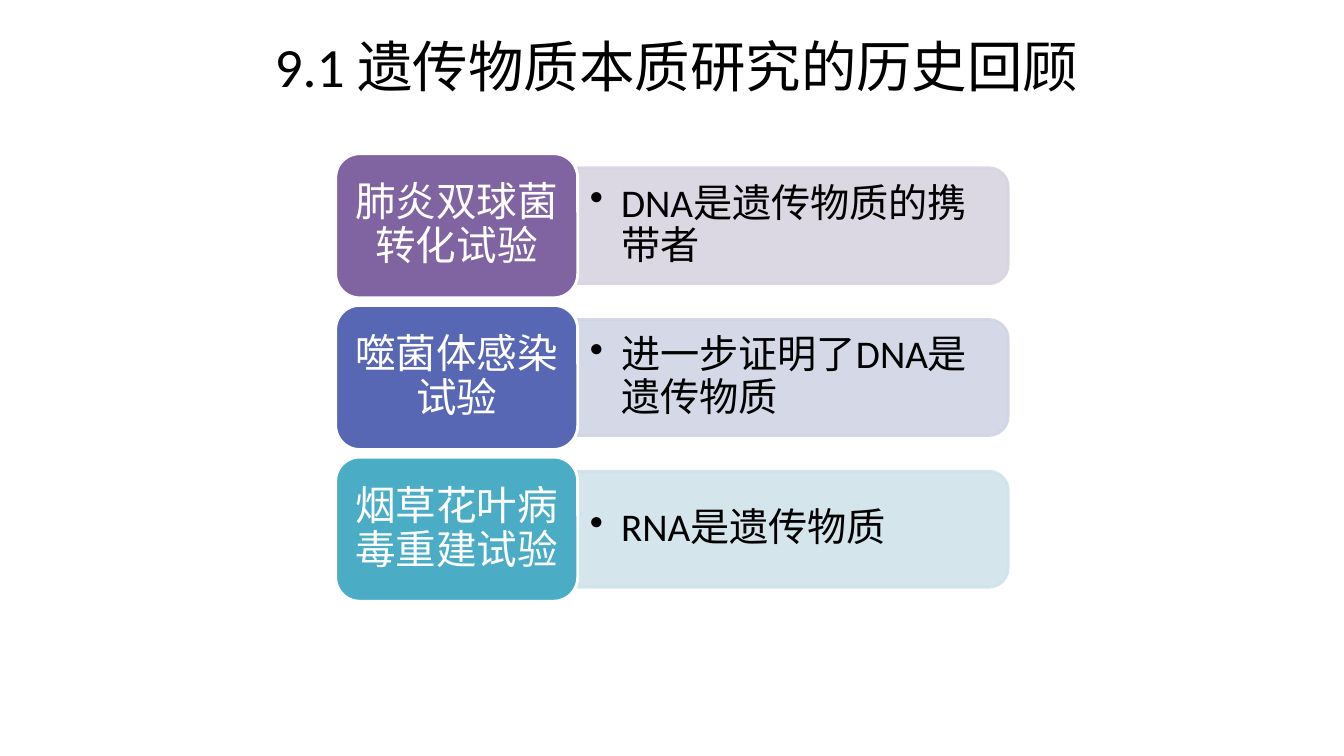
from dataclasses import dataclass

from lxml.etree import SubElement
from pptx import Presentation
from pptx.dml.color import RGBColor
from pptx.enum.shapes import MSO_SHAPE
from pptx.enum.text import MSO_ANCHOR, PP_ALIGN
from pptx.oxml.ns import qn
from pptx.util import Inches, Pt


@dataclass(frozen=True)
class Theme:
    font: str = "Calibri"
    ink: str = "000000"
    paper: str = "FFFFFF"
    title_size: float = 39.6
    label_size: float = 29
    finding_size: float = 28
    outline: float = 2
    line_spacing: float = 0.9
    panel_opacity: int = 90


class SlideBuilder:
    def __init__(self, slide, theme):
        self.slide = slide
        self.theme = theme

    def _frame(self, shape, inset_x, inset_y):
        frame = shape.text_frame
        frame.word_wrap = True
        frame.vertical_anchor = MSO_ANCHOR.MIDDLE
        frame.margin_left = frame.margin_right = Inches(inset_x)
        frame.margin_top = frame.margin_bottom = Inches(inset_y)
        return frame.paragraphs[0]

    def _write(self, paragraph, words, size, color):
        run = paragraph.add_run()
        run.text = words
        run.font.name = self.theme.font
        run.font.size = Pt(size)
        run.font.color.rgb = RGBColor.from_string(color)

    def _block(self, preset, left, top, width, height, fill, line):
        block = self.slide.shapes.add_shape(
            preset, Inches(left), Inches(top), Inches(width), Inches(height))
        block.shadow.inherit = False
        block.fill.solid()
        block.fill.fore_color.rgb = RGBColor.from_string(fill)
        block.line.color.rgb = RGBColor.from_string(line)
        block.line.width = Pt(self.theme.outline)
        return block

    def _text_box(self, left, top, width, height):
        return self.slide.shapes.add_textbox(
            Inches(left), Inches(top), Inches(width), Inches(height))

    def title(self, words, left, top, width, height):
        heading = self._frame(self._text_box(left, top, width, height), 0.1, 0.05)
        heading.alignment = PP_ALIGN.CENTER
        self._write(heading, words, self.theme.title_size, self.theme.ink)

    def panel(self, left, middle, width, height, color):
        """Bar with rounded right corners: an upright tab turned a quarter."""
        panel = self._block(MSO_SHAPE.ROUND_2_SAME_RECTANGLE,
                            left + (width - height) / 2, middle - width / 2,
                            height, width, color, color)
        panel.rotation = 90
        # Slight transparency for fill and outline
        for tint in panel._element.spPr.iter(qn("a:srgbClr")):
            SubElement(tint, qn("a:alpha"), val=str(self.theme.panel_opacity * 1000))

    def finding(self, words, left, middle, width, height):
        box = self._text_box(left, middle - height / 2, width, height)
        finding = self._frame(box, 0.12, 0.06)
        finding.line_spacing = self.theme.line_spacing
        # Hanging bullet
        properties = finding._p.get_or_add_pPr()
        properties.set("marL", str(Inches(0.31)))
        properties.set("indent", str(Inches(-0.31)))
        SubElement(properties, qn("a:buChar"), char="•")
        self._write(finding, words, self.theme.finding_size, self.theme.ink)

    def label(self, words, left, middle, width, height, color):
        block = self._block(MSO_SHAPE.ROUNDED_RECTANGLE, left, middle - height / 2,
                            width, height, color, self.theme.paper)
        label = self._frame(block, 0.12, 0.06)
        label.alignment = PP_ALIGN.CENTER
        label.line_spacing = self.theme.line_spacing
        self._write(label, words, self.theme.label_size, self.theme.paper)


# Experiment, what it showed, label colour, panel colour
EXPERIMENTS = [
    ("肺炎双球菌转化试验", "DNA是遗传物质的携带者", "8064A2", "D8D3E0"),
    ("噬菌体感染试验", "进一步证明了DNA是遗传物质", "5767B4", "D1D4E5"),
    ("烟草花叶病毒重建试验", "RNA是遗传物质", "4BACC6", "D0E3EA"),
]
FIRST_MIDDLE, LAST_MIDDLE = 2.24, 5.25
LABEL_LEFT, LABEL_WIDTH = 3.33, 2.4
PANEL_LEFT = LABEL_LEFT + LABEL_WIDTH


def main():
    presentation = Presentation()
    presentation.slide_width = Inches(13.33)
    presentation.slide_height = Inches(7.5)
    slide = presentation.slides.add_slide(presentation.slide_layouts[6])
    builder = SlideBuilder(slide, Theme())

    # Heading
    builder.title("9.1 遗传物质本质研究的历史回顾", 2.26, 0.29, 8.9, 0.71)

    # One row for each experiment
    pitch = (LAST_MIDDLE - FIRST_MIDDLE) / (len(EXPERIMENTS) - 1)
    for row, (experiment, result, strong, pale) in enumerate(EXPERIMENTS):
        middle = FIRST_MIDDLE + row * pitch
        builder.panel(PANEL_LEFT, middle, 4.27, 1.15, pale)
        builder.finding(result, PANEL_LEFT, middle, 4.21, 1.03)
        builder.label(experiment, LABEL_LEFT, middle, LABEL_WIDTH, 1.43, strong)

    presentation.save("out.pptx")


if __name__ == "__main__":
    main()
